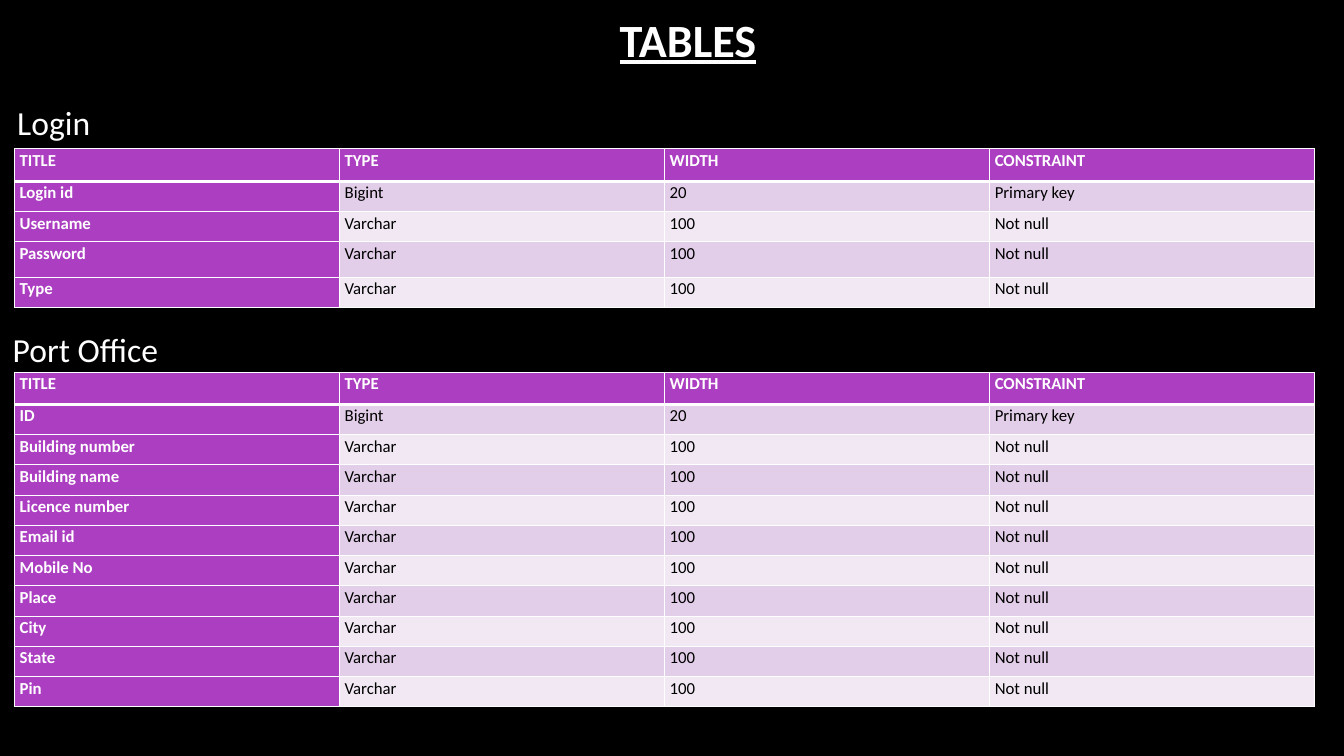
from lxml.etree import SubElement
from pptx import Presentation
from pptx.dml.color import RGBColor
from pptx.oxml.ns import qn
from pptx.util import Inches, Pt

BLACK = RGBColor(0x00, 0x00, 0x00)
WHITE = RGBColor(0xFF, 0xFF, 0xFF)
PURPLE = RGBColor(0xAC, 0x3E, 0xC1)
BANDS = [RGBColor(0xF1, 0xE8, 0xF4), RGBColor(0xE3, 0xCE, 0xE9)]

HEADER = ["TITLE", "TYPE", "WIDTH", "CONSTRAINT"]
KEY = ["Bigint", "20", "Primary key"]
FIELD = ["Varchar", "100", "Not null"]
TABLE_LEFT, COL_W = 0.19, 4.3
HEADER_H, ROW_H = 0.43, 0.4


def write(tf, text, size, color, **formats):
    p = tf.paragraphs[0]
    p.line_spacing = 1.07
    p.space_after = Pt(8)
    r = p.add_run()
    r.text = text
    r.font.color.rgb = color
    for name, value in {"name": "Calibri", "size": Pt(size), **formats}.items():
        setattr(r.font, name, value)


def add_border(cell, side, width):
    ln = SubElement(cell._tc.get_or_add_tcPr(), qn(f"a:ln{side}"), w=str(Pt(width)))
    fill = SubElement(ln, qn("a:solidFill"))
    SubElement(fill, qn("a:srgbClr"), val=str(WHITE))


prs = Presentation()
prs.slide_width, prs.slide_height = Inches(17.78), Inches(10)
slide = prs.slides.add_slide(prs.slide_layouts[6])
slide.background.fill.solid()
slide.background.fill.fore_color.rgb = BLACK

# Title and table headings
headings = [
    ("TABLES", (8.1, 0.05, 2.17, 0.86), 44, {"bold": True, "underline": True}),
    ("Login", (0.13, 1.26, 1.37, 0.65), 32, {}),
    ("Port Office", (0.07, 4.27, 4.69, 0.65), 32, {}),
]
for text, box, size, formats in headings:
    tf = slide.shapes.add_textbox(*map(Inches, box)).text_frame
    tf.word_wrap = True
    write(tf, text, size, WHITE, **formats)

# Tables: top edge, field names, heights of taller rows
tables = [
    (1.97, ["Login id", "Username", "Password", "Type"], {3: 0.47}),
    (4.92, ["ID", "Building number", "Building name", "Licence number", "Email id",
            "Mobile No", "Place", "City", "State", "Pin"], {}),
]
for top, names, tall in tables:
    rows = [HEADER] + [[name] + (FIELD if i else KEY) for i, name in enumerate(names)]
    heights = [HEADER_H] + [tall.get(i, ROW_H) for i in range(1, len(rows))]
    table = slide.shapes.add_table(
        len(rows), len(HEADER), Inches(TABLE_LEFT), Inches(top),
        Inches(COL_W * len(HEADER)), Inches(sum(heights))).table
    for column in table.columns:
        column.width = Inches(COL_W)

    for i, (row, height) in enumerate(zip(rows, heights)):
        table.rows[i].height = Inches(height)
        for j, text in enumerate(row):
            cell = table.cell(i, j)
            cell.margin_left = cell.margin_right = Inches(0.07)
            cell.margin_top = cell.margin_bottom = 0

            # Thick rule between the header and the first field
            widths = {"L": 1, "R": 1, "T": 3 if i == 1 else 1, "B": 3 if i == 0 else 1}
            for side, width in widths.items():
                add_border(cell, side, width)

            strong = i == 0 or j == 0
            cell.fill.solid()
            cell.fill.fore_color.rgb = PURPLE if strong else BANDS[i % 2]
            write(cell.text_frame, text, 16, WHITE if strong else BLACK, bold=strong)

prs.save("out.pptx")
